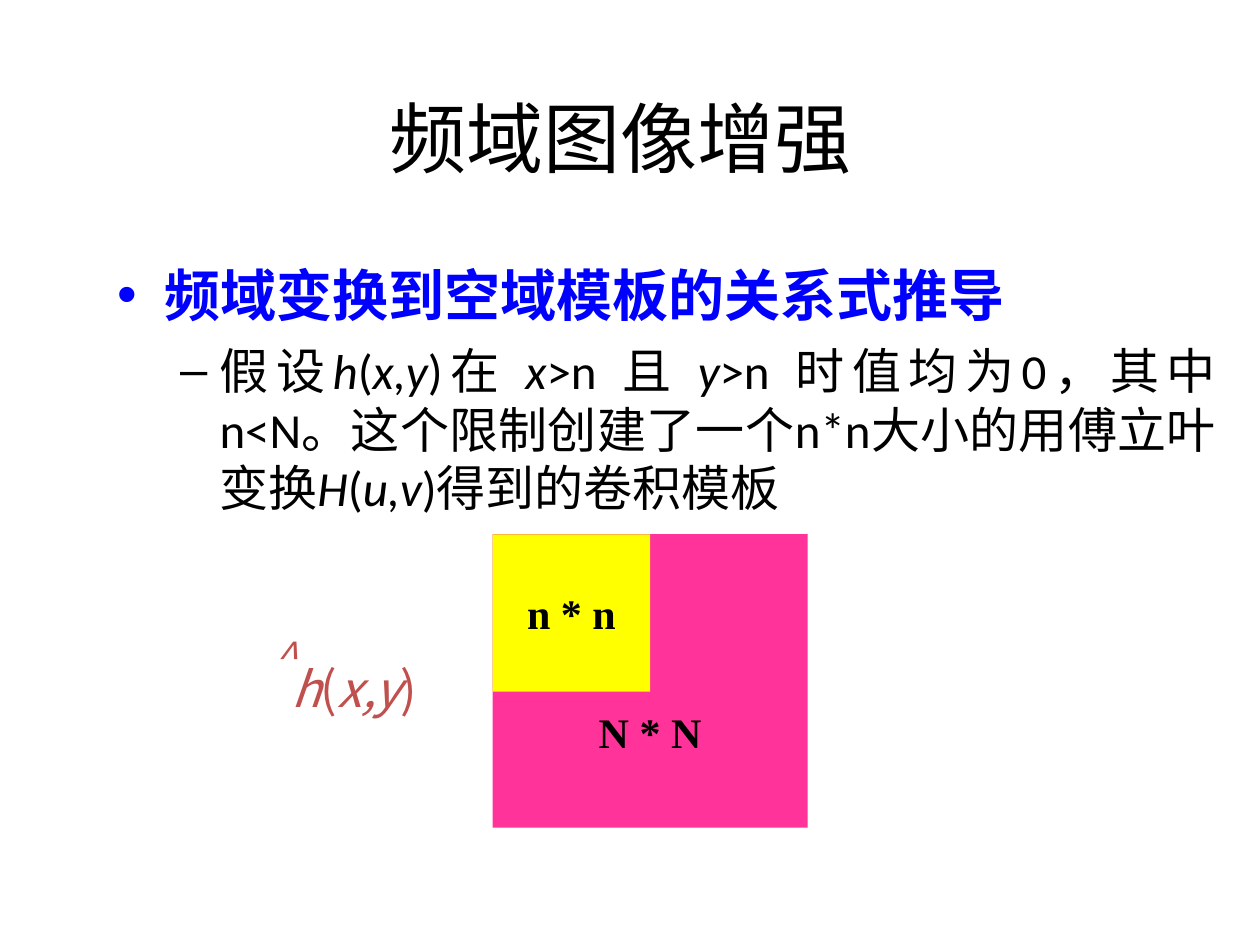
"""Build the slide on deriving a spatial template from a frequency transform."""
from dataclasses import dataclass

from lxml import etree
from pptx import Presentation, util as u
from pptx.dml.color import RGBColor
from pptx.enum import shapes, text
from pptx.oxml.ns import qn

BLACK, BLUE, RED = "000000", "0000FF", "C0504D"
CJK = "Noto Sans CJK SC"


@dataclass(frozen=True)
class Region:
    """A labelled square of the template diagram."""
    label: str
    width: float
    height: float
    fill: str
    top_inset: float


REGIONS = (
    Region("N * N", 2.5, 2.33, "FF3399", 0.86),
    Region("n * n", 1.25, 1.25, "FFFF00", 0.05),
)
DIAGRAM_LEFT, DIAGRAM_TOP = 3.91, 4.24


def rgb(value: str) -> RGBColor:
    """Turn a hex string into a colour."""
    return RGBColor.from_string(value)


def apply(target, **values) -> None:
    """Set each given attribute on the target."""
    for key, value in values.items():
        setattr(target, key, value)


def place(shape, left: float, top: float, width: float, height: float) -> None:
    """Move and size a shape, in inches."""
    apply(shape, left=u.Inches(left), top=u.Inches(top),
          width=u.Inches(width), height=u.Inches(height))


def write(paragraph, marked: str, face: str, size: float, color: str,
          **values) -> None:
    """Write text in which every second part between bars is italic."""
    for index, part in enumerate(marked.split("|")):
        if not part:
            continue
        run = paragraph.add_run()
        run.text = part
        apply(run.font, name=face, size=u.Pt(size), italic=index % 2 == 1,
              **values)
        run.font.color.rgb = rgb(color)
        latin = run.font._element.find(qn("a:latin"))
        east_asian = etree.Element(qn("a:ea"), typeface=face)
        latin.addnext(east_asian)


def draw_region(slide, region: Region) -> None:
    """Draw one square with its centred label."""
    square = slide.shapes.add_shape(
        shapes.MSO_SHAPE.RECTANGLE, u.Inches(DIAGRAM_LEFT),
        u.Inches(DIAGRAM_TOP), u.Inches(region.width), u.Inches(region.height))
    square.shadow.inherit = False
    square.fill.solid()
    square.fill.fore_color.rgb = rgb(region.fill)
    square.line.fill.background()
    frame = square.text_frame
    apply(frame, word_wrap=False, margin_top=u.Inches(region.top_inset),
          vertical_anchor=text.MSO_ANCHOR.MIDDLE)
    label = frame.paragraphs[0]
    label.alignment = text.PP_ALIGN.CENTER
    write(label, region.label, "Times New Roman", 24, BLACK, bold=True)


def draw_formula(slide) -> None:
    """Draw the estimated function with its hat above it."""
    formula = slide.shapes.add_textbox(0, 0, 0, 0)
    place(formula, 1.99, 4.66, 1.72, 1.08)
    frame = formula.text_frame
    apply(frame, word_wrap=True, margin_right=u.Inches(0.18),
          vertical_anchor=text.MSO_ANCHOR.MIDDLE)
    hat, function = frame.paragraphs[0], frame.add_paragraph()
    apply(hat, line_spacing=0.8, alignment=text.PP_ALIGN.LEFT)
    apply(function, line_spacing=0.8, alignment=text.PP_ALIGN.CENTER)
    hat._p.get_or_add_pPr().set("marL", str(u.Inches(0.08)))
    write(hat, "|^", CJK, 40, RED)
    hat.runs[0].font._element.set("baseline", "-25000")
    write(function, "|h|(|x,y|)", CJK, 28, RED)


def main() -> None:
    """Assemble and save the slide."""
    deck = Presentation()
    apply(deck, slide_width=u.Inches(10), slide_height=u.Inches(7.5))
    slide = deck.slides.add_slide(deck.slide_layouts[1])
    title, body = slide.placeholders

    place(title, 0.43, 0.52, 9, 1.13)
    write(title.text_frame.paragraphs[0], "频域图像增强", "Calibri", 44, BLACK)

    place(body, 0.83, 1.91, 8.92, 2.17)
    frame = body.text_frame
    apply(frame, auto_size=text.MSO_AUTO_SIZE.NONE, margin_top=u.Inches(0.16))
    topic, premise = frame.paragraphs[0], frame.add_paragraph()
    topic.space_before = u.Pt(0)
    write(topic, "频域变换到空域模板的关系式推导", "Calibri", 32, BLUE, bold=True)
    apply(premise, level=1, space_before=u.Pt(7),
          alignment=text.PP_ALIGN.JUSTIFY)
    write(premise, "假设|h|(|x,y|)在 |x|>n 且 |y|>n 时值均为0，其中 n<N。"
          "这个限制创建了一个n*n大小的用傅立叶变换|H|(|u,v|)得到的卷积模板",
          "Calibri", 28, BLACK)

    draw_formula(slide)
    for region in REGIONS:
        draw_region(slide, region)
    deck.save("out.pptx")


if __name__ == "__main__":
    main()
